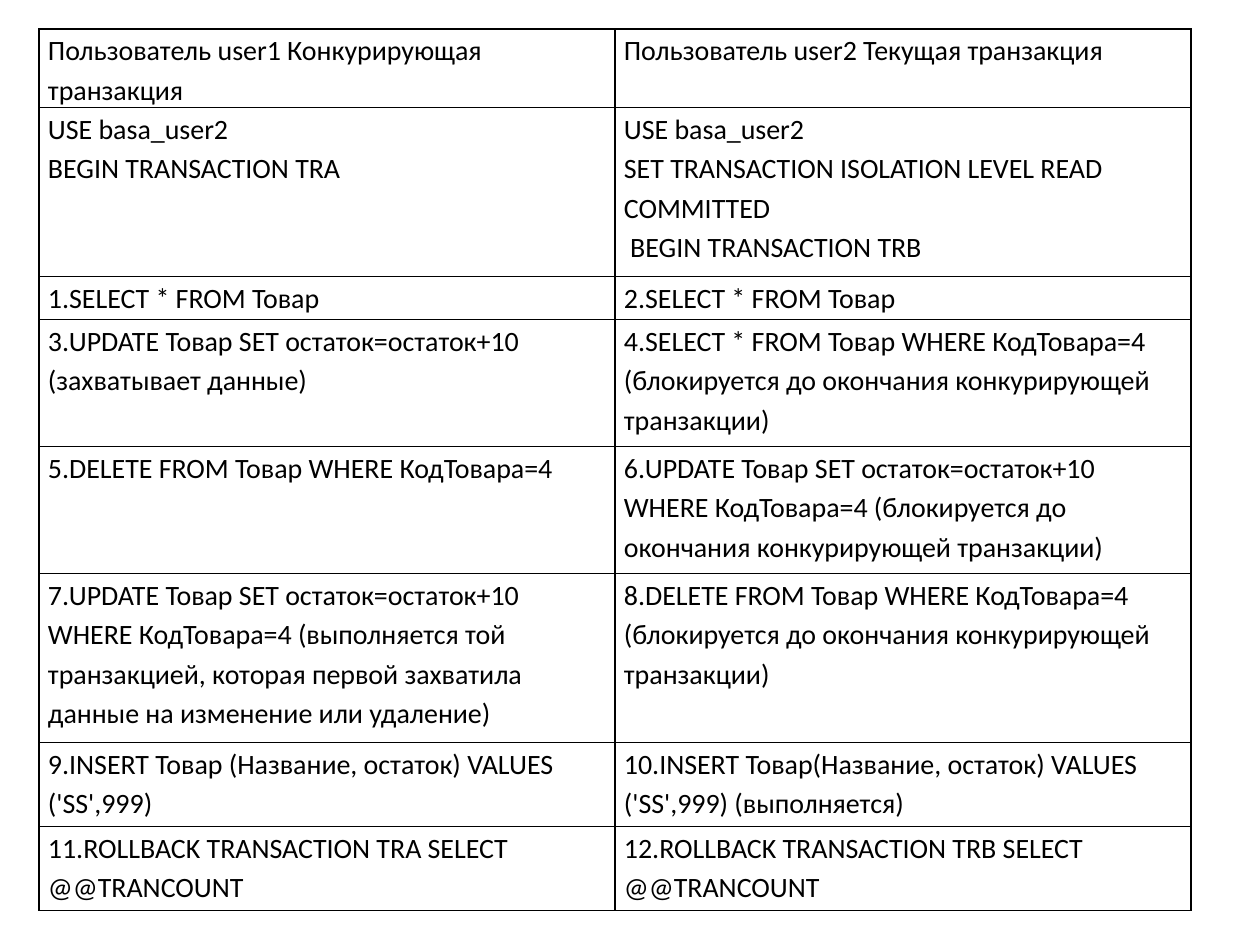
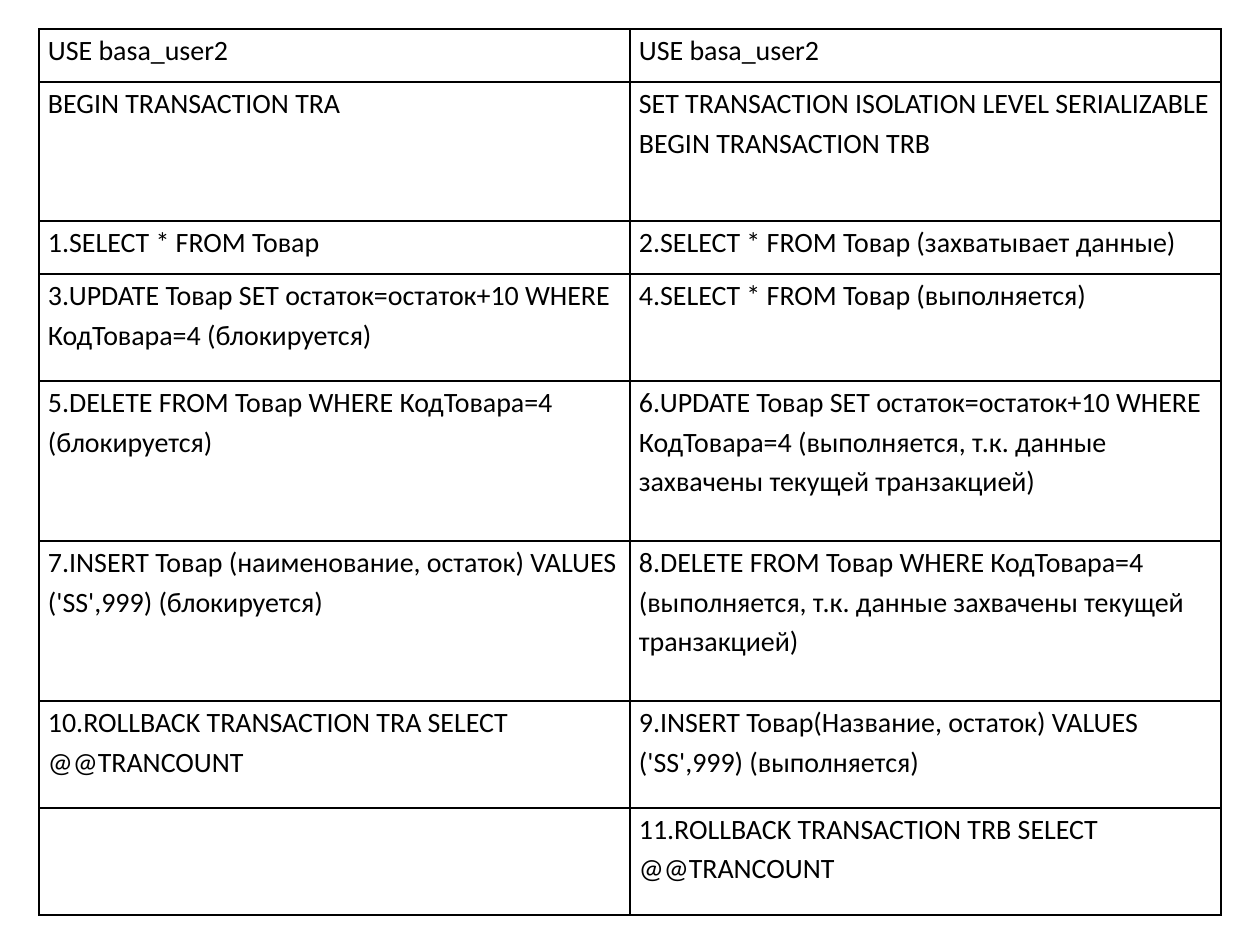
import pptx
import pptx.dml.color
import pptx.oxml
import pptx.oxml.ns
import pptx.util

PX = 914400 // 126  # one px in EMU
SLIDE_W, SLIDE_H = 1260, 945
LEFT, TOP = 39, 29
CELL_INSET = 9
FONT, FONT_SIZE, LINE_SPACING = "Calibri", 16, 1.15
INK, PAPER = "000000", "FFFFFF"

# Each row: height, competing transaction, current transaction
READ_COMMITTED = [
    (73, "Пользователь user1 Конкурирующая транзакция",
     "Пользователь user2 Текущая транзакция"),
    (169, "USE basa_user2\nBEGIN TRANSACTION TRA",
     "USE basa_user2\nSET TRANSACTION ISOLATION LEVEL READ COMMITTED\n"
     " BEGIN TRANSACTION TRB"),
    (43, "1.SELECT * FROM Товар", "2.SELECT * FROM Товар"),
    (127, "3.UPDATE Товар SET остаток=остаток+10 (захватывает данные)",
     "4.SELECT * FROM Товар WHERE КодТовара=4 "
     "(блокируется до окончания конкурирующей транзакции)"),
    (127, "5.DELETE FROM Товар WHERE КодТовара=4",
     "6.UPDATE Товар SET остаток=остаток+10 WHERE КодТовара=4 "
     "(блокируется до окончания конкурирующей транзакции)"),
    (169, "7.UPDATE Товар SET остаток=остаток+10 WHERE КодТовара=4 "
     "(выполняется той транзакцией, которая первой захватила данные "
     "на изменение или удаление)",
     "8.DELETE FROM Товар WHERE КодТовара=4 "
     "(блокируется до окончания конкурирующей транзакции)"),
    (84, "9.INSERT Товар (Название, остаток) VALUES ('SS',999)",
     "10.INSERT Товар(Название, остаток) VALUES ('SS',999) (выполняется)"),
    (84, "11.ROLLBACK TRANSACTION TRA SELECT @@TRANCOUNT",
     "12.ROLLBACK TRANSACTION TRB SELECT @@TRANCOUNT"),
]

# "\v" breaks a line inside a paragraph
SERIALIZABLE = [
    (53, "USE basa_user2", "USE basa_user2"),
    (139, "BEGIN TRANSACTION TRA",
     "SET TRANSACTION ISOLATION LEVEL SERIALIZABLE\vBEGIN TRANSACTION TRB"),
    (53, "1.SELECT * FROM Товар", "2.SELECT * FROM Товар (захватывает данные)"),
    (107, "3.UPDATE Товар SET остаток=остаток+10 WHERE КодТовара=4 (блокируется)",
     "4.SELECT * FROM Товар (выполняется)"),
    (160, "5.DELETE FROM Товар WHERE КодТовара=4 (блокируется)",
     "6.UPDATE Товар SET остаток=остаток+10 WHERE КодТовара=4 "
     "(выполняется, т.к. данные захвачены текущей транзакцией)"),
    (160, "7.INSERT Товар (наименование, остаток) VALUES ('SS',999) (блокируется)",
     "8.DELETE FROM Товар WHERE КодТовара=4 "
     "(выполняется, т.к. данные захвачены текущей транзакцией)"),
    (107, "10.ROLLBACK TRANSACTION TRA SELECT @@TRANCOUNT",
     "9.INSERT Товар(Название, остаток) VALUES ('SS',999) (выполняется)"),
    (107, "", "11.ROLLBACK TRANSACTION TRB SELECT @@TRANCOUNT"),
]


def px(length):
    return pptx.util.Emu(length * PX)


def color(hex_string):
    return pptx.dml.color.RGBColor.from_string(hex_string)


def add_borders(cell):
    """Draw a 1 pt line on all four sides; lines come before the fill."""
    properties = cell._tc.get_or_add_tcPr()
    for position, side in enumerate("LRTB"):
        border = pptx.oxml.parse_xml(
            f'<a:ln{side} {pptx.oxml.ns.nsdecls("a")} w="12700"><a:solidFill>'
            f'<a:srgbClr val="{INK}"/></a:solidFill></a:ln{side}>')
        properties.insert(position, border)


def fill_cell(cell, statement):
    cell.margin_left = cell.margin_right = px(CELL_INSET)
    cell.margin_top = cell.margin_bottom = 0
    cell.fill.solid()
    cell.fill.fore_color.rgb = color(PAPER)
    add_borders(cell)
    cell.text_frame.text = statement
    for paragraph in cell.text_frame.paragraphs:
        paragraph.line_spacing = LINE_SPACING
        for run in paragraph.runs:
            run.font.name = FONT
            run.font.size = pptx.util.Pt(FONT_SIZE)
            run.font.color.rgb = color(INK)


def add_transaction_slide(deck, steps, column_width):
    """One slide with the two transactions side by side."""
    slide = deck.slides.add_slide(deck.slide_layouts[6])
    height = sum(step[0] for step in steps)
    table = slide.shapes.add_table(
        len(steps), 2, px(LEFT), px(TOP), px(2 * column_width), px(height)).table
    table.first_row = table.horz_banding = False
    for column in table.columns:
        column.width = px(column_width)
    for row, (row_height, *statements) in zip(table.rows, steps):
        row.height = px(row_height)
        for cell, statement in zip(row.cells, statements):
            fill_cell(cell, statement)


def main():
    deck = pptx.Presentation()
    deck.slide_width, deck.slide_height = px(SLIDE_W), px(SLIDE_H)
    add_transaction_slide(deck, READ_COMMITTED, 576)
    add_transaction_slide(deck, SERIALIZABLE, 591)
    deck.save("out.pptx")


if __name__ == "__main__":
    main()
